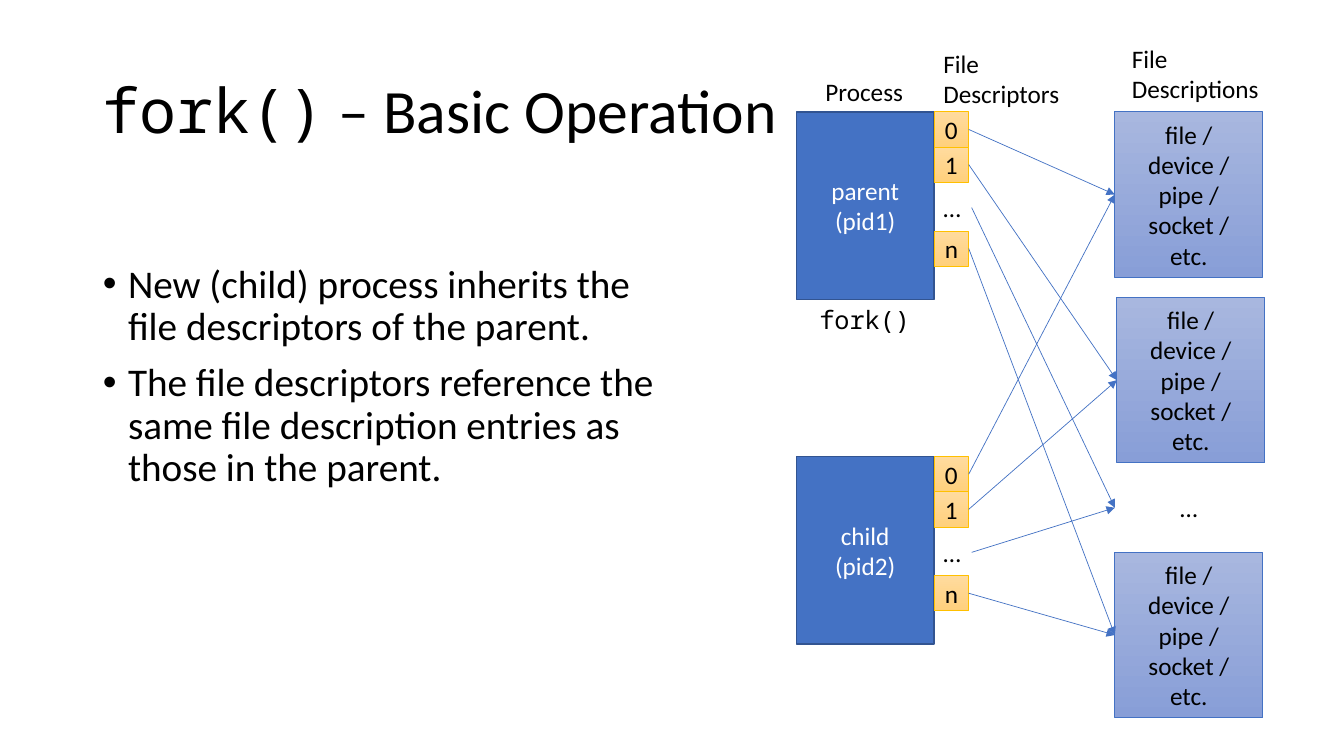
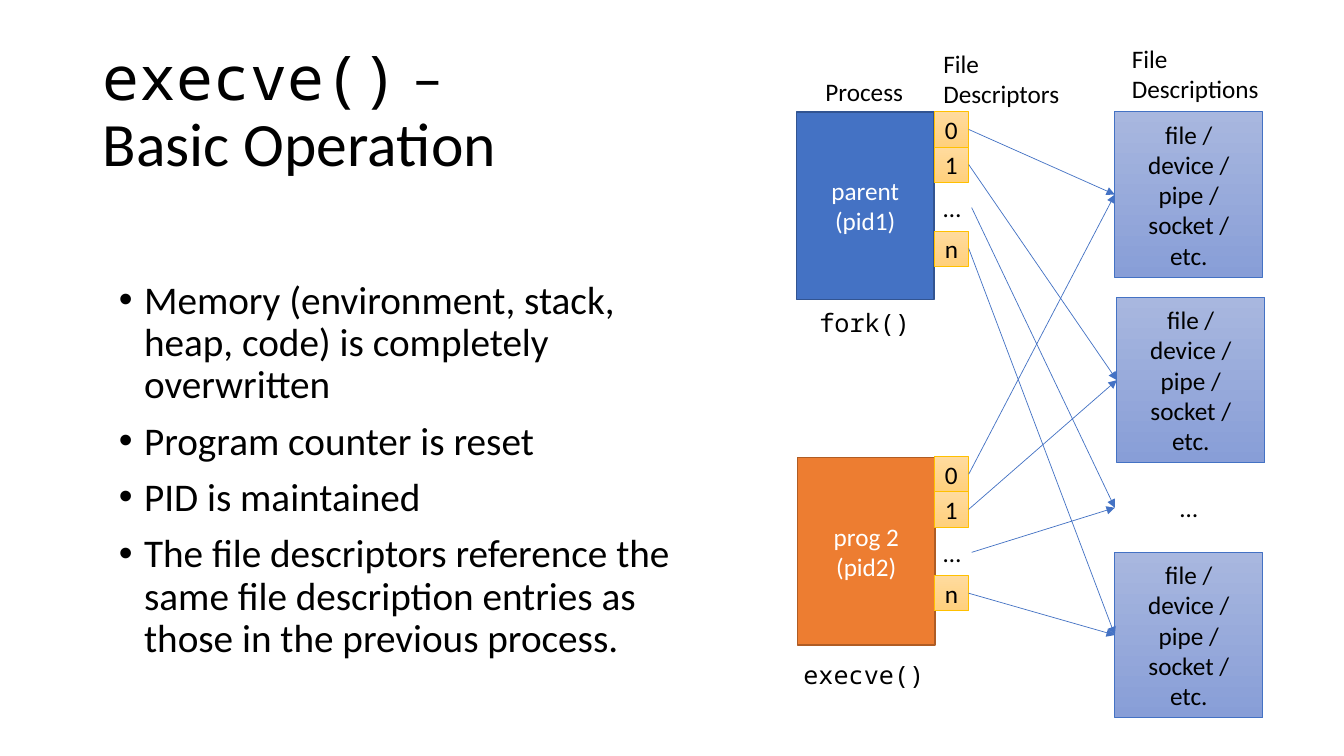
from dataclasses import dataclass
from typing import Sequence

from pptx import Presentation
from pptx import util as u
from pptx.dml.color import RGBColor
from pptx.enum import shapes, text
from pptx.oxml.ns import qn
from lxml import etree

BLACK = RGBColor(0x00, 0x00, 0x00)
WHITE = RGBColor(0xFF, 0xFF, 0xFF)
BLUE = RGBColor(0x44, 0x72, 0xC4)
BLUE_EDGE = RGBColor(0x32, 0x54, 0x91)
BLUE_PALE = RGBColor(0xA8, 0xB7, 0xDF)
BLUE_SOFT = RGBColor(0x88, 0x9E, 0xD7)
ORANGE = RGBColor(0xED, 0x7D, 0x31)
ORANGE_EDGE = RGBColor(0xAF, 0x5C, 0x24)
GOLD = RGBColor(0xFF, 0xC0, 0x00)
GOLD_PALE = RGBColor(0xFF, 0xDB, 0x9E)
GOLD_SOFT = RGBColor(0xFF, 0xD0, 0x7C)

SANS = "Calibri"
MONO = "Noto Sans Mono"
WIDTH = u.Inches(13.333)
HEIGHT = u.Inches(7.5)
LEFT = text.PP_ALIGN.LEFT
CENTER = text.PP_ALIGN.CENTER
LINE_BREAK = "\v"
ELLIPSIS = "…"


@dataclass(frozen=True)
class Box:
    """Left, top, width and height in percent of the slide."""
    x: float
    y: float
    w: float
    h: float

    def emu(self) -> tuple:
        return (int(WIDTH * self.x / 100), int(HEIGHT * self.y / 100),
                int(WIDTH * self.w / 100), int(HEIGHT * self.h / 100))


@dataclass(frozen=True)
class Run:
    text: str
    font: str = SANS


@dataclass(frozen=True)
class Style:
    fills: tuple
    edge: RGBColor
    weight: float
    ink: RGBColor


@dataclass(frozen=True)
class Process:
    name: str
    pid: str
    style: Style
    box: Box


@dataclass(frozen=True)
class Label:
    lines: tuple
    box: Box
    font: str = SANS


@dataclass(frozen=True)
class Operation:
    title: tuple
    points: tuple
    body: Box
    second: Process
    calls: tuple


PARENT_STYLE = Style((BLUE,), BLUE_EDGE, 1, WHITE)
PROGRAM_STYLE = Style((ORANGE,), ORANGE_EDGE, 1, WHITE)
DESCRIPTOR_STYLE = Style((GOLD_PALE, GOLD_SOFT), GOLD, 0.5, BLACK)
DESCRIPTION_STYLE = Style((BLUE_PALE, BLUE_SOFT), BLUE, 0.5, BLACK)

TITLE_BOX = Box(6.9, 5.33, 86.25, 19.33)
PROCESS_TOPS = (14.8, 60.4)
PROCESS_X, PROCESS_W, PROCESS_H = 59.25, 10.25, 24.8
DESCRIPTOR_X, DESCRIPTOR_W, DESCRIPTOR_H = 69.5, 2.58, 4.65
DESCRIPTORS = (("0", 0), ("1", DESCRIPTOR_H), (ELLIPSIS, 10), ("n", 15.75))
DESCRIPTION_W, DESCRIPTION_H = 11, 21.87
DESCRIPTIONS = ((82.95, 14.8), (83.1, 39.35), (82.95, 64.5), (82.95, 73.07))
ELLIPSIS_ROW = 2
LABEL_H = 5.33
KINDS = ("file /", "device /", "pipe /", "socket /", "etc.")

PARENT = Process("parent", "(pid1)", PARENT_STYLE,
                 Box(PROCESS_X, PROCESS_TOPS[0], PROCESS_W, PROCESS_H))
CHILD = Process("child", "(pid2)", PARENT_STYLE,
                Box(PROCESS_X, PROCESS_TOPS[1], PROCESS_W, PROCESS_H))
PROGRAM = Process("prog 2", "(pid2)", PROGRAM_STYLE,
                  Box(PROCESS_X + 0.08, PROCESS_TOPS[1] + 0.13, PROCESS_W, PROCESS_H))

HEADINGS = (
    Label(("Process",), Box(60.68, 9.47, 7.35, LABEL_H)),
    Label(("File", "Descriptors"), Box(69.45, 5.73, 10.2, 9.47)),
    Label(("File", "Descriptions"), Box(83.48, 5.07, 11, 9.47)),
)

OPERATIONS = (
    Operation(
        title=(Run("fork()", MONO), Run(" – Basic Operation")),
        points=("New (child) process inherits the file descriptors of the parent.",
                "The file descriptors reference the same file description entries "
                "as those in the parent."),
        body=Box(6.9, 26.67, 42.5, 63.47),
        second=CHILD,
        calls=(Label(("fork()",), Box(60.22, 39.6, 8.33, LABEL_H), MONO),),
    ),
    Operation(
        title=(Run("execve()", MONO), Run(" –"), Run(LINE_BREAK), Run("Basic Operation")),
        points=("Memory (environment, stack, heap, code) is completely overwritten",
                "Program counter is reset",
                "PID is maintained",
                "The file descriptors reference the same file description entries "
                "as those in the previous process."),
        body=Box(8.1, 28.8, 42.5, 63.47),
        second=PROGRAM,
        calls=(Label(("fork()",), Box(60.22, 40, 8.33, LABEL_H), MONO),
               Label(("execve()",), Box(59.03, 86.53, 10.58, LABEL_H), MONO)),
    ),
)


def write(frame, paragraphs: Sequence[Sequence[Run]], *, size: float = 18,
          color: RGBColor = BLACK, align=LEFT, anchor=text.MSO_ANCHOR.TOP,
          wrap: bool = True, grow: bool = False, spacing: float = 1,
          before: float = 0, bullet: bool = False) -> None:
    frame.word_wrap = wrap
    frame.vertical_anchor = anchor
    frame.auto_size = (text.MSO_AUTO_SIZE.SHAPE_TO_FIT_TEXT if grow
                       else text.MSO_AUTO_SIZE.NONE)
    for index, runs in enumerate(paragraphs):
        paragraph = frame.add_paragraph() if index else frame.paragraphs[0]
        paragraph.alignment = align
        paragraph.line_spacing = spacing
        paragraph.space_before = u.Pt(before)
        if bullet:
            properties = paragraph._p.get_or_add_pPr()
            properties.set("marL", str(u.Inches(0.25)))
            properties.set("indent", str(-u.Inches(0.25)))
            etree.SubElement(properties, qn("a:buFont")).set("typeface", "Arial")
            etree.SubElement(properties, qn("a:buChar")).set("char", "•")
        for part in runs:
            if part.text == LINE_BREAK:
                paragraph.add_line_break()
                continue
            run = paragraph.add_run()
            run.text = part.text
            run.font.name = part.font
            run.font.size = u.Pt(size)
            run.font.color.rgb = color


def place(shape, box: Box) -> None:
    shape.left, shape.top, shape.width, shape.height = box.emu()


def draw_block(slide, box: Box, lines: Sequence[str], style: Style):
    block = slide.shapes.add_shape(shapes.MSO_SHAPE.RECTANGLE, *box.emu())
    block.shadow.inherit = False
    if len(style.fills) == 1:
        block.fill.solid()
        block.fill.fore_color.rgb = style.fills[0]
    else:
        block.fill.gradient()
        block.fill.gradient_angle = 270
        for stop, color in zip(block.fill.gradient_stops, style.fills):
            stop.color.rgb = color
    block.line.color.rgb = style.edge
    block.line.width = u.Pt(style.weight)
    write(block.text_frame, [[Run(line)] for line in lines], color=style.ink,
          align=CENTER, anchor=text.MSO_ANCHOR.MIDDLE)
    return block


def draw_label(slide, label: Label, *, align=LEFT, wrap: bool = False):
    words = slide.shapes.add_textbox(*label.box.emu())
    write(words.text_frame, [[Run(line, label.font)] for line in label.lines],
          align=align, wrap=wrap, grow=not wrap)
    return words


def draw_arrow(slide, descriptor, description) -> None:
    arrow = slide.shapes.add_connector(shapes.MSO_CONNECTOR.STRAIGHT, 0, 0, 0, 0)
    arrow.begin_connect(descriptor, 3)
    arrow.end_connect(description, 1)
    arrow.line.color.rgb = BLUE
    arrow.line.width = u.Pt(0.5)
    etree.SubElement(arrow.line._get_or_add_ln(), qn("a:tailEnd")).set("type", "triangle")
    etree.SubElement(arrow._element.spPr, qn("a:effectLst"))


def draw_descriptors(slide, top: float) -> list:
    drawn = []
    for name, offset in DESCRIPTORS:
        if name == ELLIPSIS:
            box = Box(DESCRIPTOR_X - 0.05, top + offset, 2.85, LABEL_H)
            drawn.append(draw_label(slide, Label((name,), box)))
        else:
            box = Box(DESCRIPTOR_X, top + offset, DESCRIPTOR_W, DESCRIPTOR_H)
            drawn.append(draw_block(slide, box, (name,), DESCRIPTOR_STYLE))
    return drawn


def draw_descriptions(slide) -> list:
    drawn = []
    for row, (x, y) in enumerate(DESCRIPTIONS):
        if row == ELLIPSIS_ROW:
            gap = Label((ELLIPSIS,), Box(x, y, DESCRIPTION_W, LABEL_H))
            drawn.append(draw_label(slide, gap, align=CENTER, wrap=True))
        else:
            box = Box(x, y, DESCRIPTION_W, DESCRIPTION_H)
            drawn.append(draw_block(slide, box, KINDS, DESCRIPTION_STYLE))
    return drawn


def build_operation(deck, operation: Operation) -> None:
    slide = deck.slides.add_slide(deck.slide_layouts[1])
    title, points = slide.placeholders
    place(title, TITLE_BOX)
    write(title.text_frame, [operation.title], size=44, spacing=0.9,
          anchor=text.MSO_ANCHOR.MIDDLE)
    place(points, operation.body)
    points.text_frame.margin_top = u.Inches(0.62)
    write(points.text_frame, [[Run(point)] for point in operation.points],
          size=28, spacing=0.9, before=10, bullet=True)

    for label in HEADINGS + operation.calls:
        draw_label(slide, label)
    descriptions = draw_descriptions(slide)
    for process, top in zip((PARENT, operation.second), PROCESS_TOPS):
        draw_block(slide, process.box, (process.name, process.pid), process.style)
        for descriptor, description in zip(draw_descriptors(slide, top), descriptions):
            draw_arrow(slide, descriptor, description)


def main() -> None:
    deck = Presentation()
    deck.slide_width, deck.slide_height = WIDTH, HEIGHT
    for operation in OPERATIONS:
        build_operation(deck, operation)
    deck.save("out.pptx")


main()
